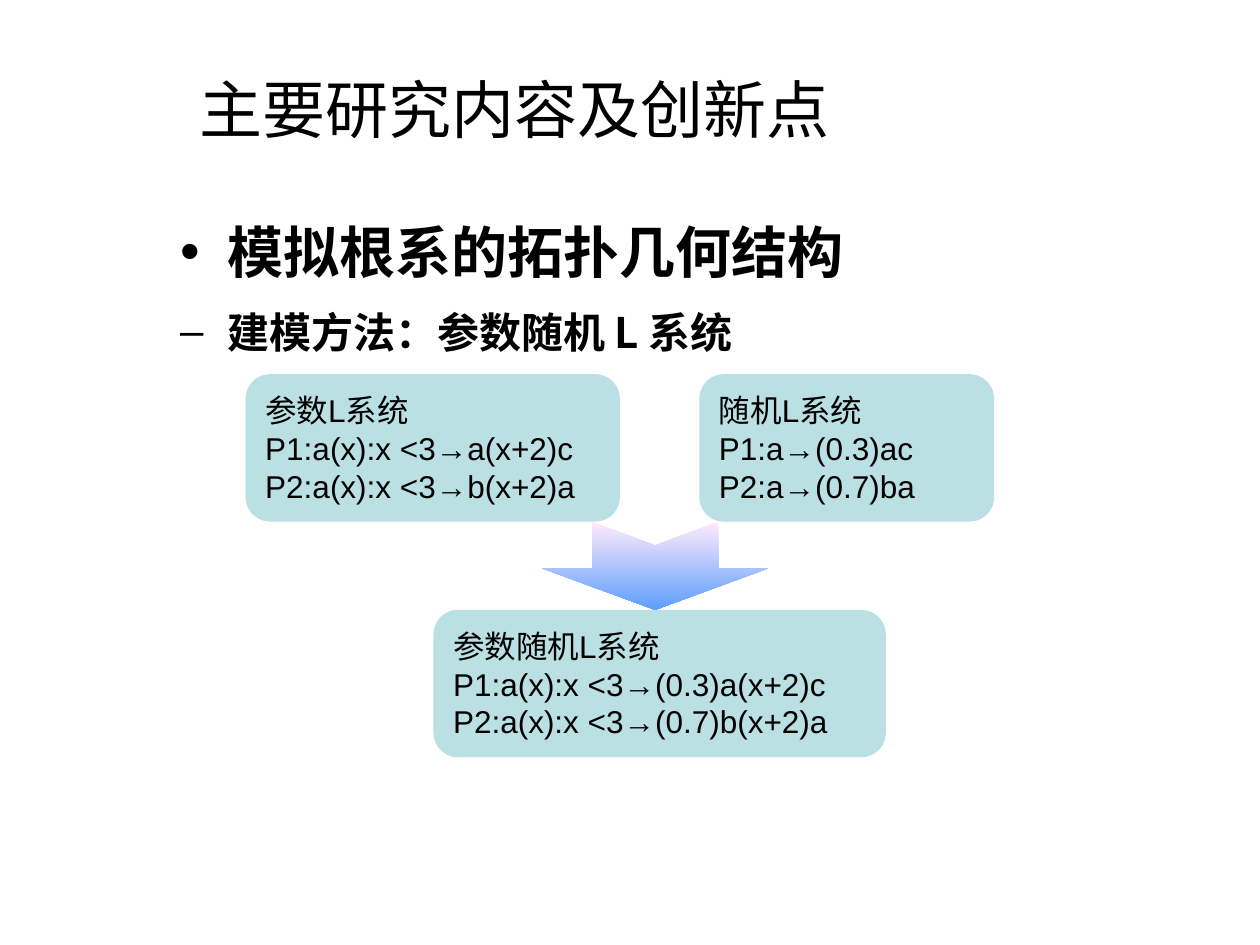
from dataclasses import dataclass
from lxml.etree import SubElement
from pptx import Presentation
from pptx.dml.color import RGBColor
from pptx.enum.shapes import MSO_SHAPE
from pptx.enum.text import MSO_ANCHOR, MSO_AUTO_SIZE, PP_ALIGN
from pptx.oxml.ns import qn
from pptx.util import Inches, Pt


@dataclass(frozen=True)
class Theme:
    ink: str = "000000"
    panel: str = "BBE0E3"
    pale: str = "FFEBFA"
    deep: str = "5E9EFF"
    latin: str = "Arial"
    asian: str = "Noto Sans CJK SC"
    title: int = 36
    head: int = 32
    sub: int = 24
    rule: int = 18


def write(para, text, *, size, color, font, asian, bold=False,
          bullet=None, spacing=None, before=0):
    if bullet:
        SubElement(para._p.get_or_add_pPr(), qn("a:buChar")).set("char", bullet)
    para.alignment = PP_ALIGN.LEFT
    para.space_before = Pt(before)
    if spacing:
        para.line_spacing = spacing
    run = para.add_run()
    run.text = text
    run.font.size = Pt(size)
    run.font.bold = bold
    run.font.name = font
    run.font.color.rgb = RGBColor.from_string(color)
    SubElement(run.font._element, qn("a:ea")).set("typeface", asian)


class Deck:
    def __init__(self, theme):
        self.theme = theme
        self.file = Presentation()
        self.file.slide_width = Inches(10)
        self.file.slide_height = Inches(7.5)
        self.slide = self.file.slides.add_slide(self.file.slide_layouts[1])

    def place(self, shape, left, top, width, height):
        shape.left, shape.top = Inches(left), Inches(top)
        shape.width, shape.height = Inches(width), Inches(height)
        frame = shape.text_frame
        frame.word_wrap = True
        frame.auto_size = MSO_AUTO_SIZE.NONE
        return frame

    def fill(self, frame, items, **style):
        base = dict(color=self.theme.ink, font=self.theme.latin,
                    asian=self.theme.asian)
        for i, (text, extra) in enumerate(items):
            para = frame.add_paragraph() if i else frame.paragraphs[0]
            write(para, text, **{**base, **style, **extra})

    def title(self, text, *area):
        frame = self.place(self.slide.shapes.title, *area)
        frame.vertical_anchor = MSO_ANCHOR.MIDDLE
        self.fill(frame, [(text, {})], size=self.theme.title)

    def body(self, items, *area):
        frame = self.place(self.slide.placeholders[1], *area)
        frame.vertical_anchor = MSO_ANCHOR.TOP
        self.fill(frame, items, font=self.theme.asian, bold=True)

    def panel(self, lines, left, top, width, height=1.17):
        shape = self.slide.shapes.add_shape(
            MSO_SHAPE.ROUNDED_RECTANGLE, Inches(left), Inches(top),
            Inches(width), Inches(height))
        shape.shadow.inherit = False
        shape.fill.solid()
        shape.fill.fore_color.rgb = RGBColor.from_string(self.theme.panel)
        shape.line.fill.background()
        frame = shape.text_frame
        frame.word_wrap = True
        frame.vertical_anchor = MSO_ANCHOR.MIDDLE
        self.fill(frame, [(line, {}) for line in lines], size=self.theme.rule)

    def arrow(self, mid, top, wide, stem, notch, neck, tall):
        half, side = wide / 2, stem / 2
        spots = [(side, 0), (side, neck), (half, neck), (0, tall),
                 (-half, neck), (-side, neck), (-side, 0), (0, notch)]
        points = [(Inches(mid + x), Inches(top + y)) for x, y in spots]
        pen = self.slide.shapes.build_freeform(*points[0])
        pen.add_line_segments(points[1:], close=True)
        shape = pen.convert_to_shape()
        shape.shadow.inherit = False
        shape.line.fill.background()
        shape.fill.gradient()
        shape.fill.gradient_angle = 270
        tones = (self.theme.pale, self.theme.deep)
        for stop, tone in zip(shape.fill.gradient_stops, tones):
            stop.color.rgb = RGBColor.from_string(tone)


def main():
    theme = Theme()
    deck = Deck(theme)
    deck.title("主要研究内容及创新点", 1.48, 0.55, 6.91, 0.62)
    deck.body([
        ("模拟根系的拓扑几何结构",
         dict(size=theme.head, bullet="•", spacing=1.5)),
        ("建模方法：参数随机 L 系统",
         dict(size=theme.sub, bullet="–", spacing=Pt(35), before=6)),
    ], 1.33, 1.41, 8.28, 1.5)
    deck.panel(["随机L系统", "P1:a→(0.3)ac", "P2:a→(0.7)ba"],
               5.55, 2.97, 2.34)
    deck.panel(["参数L系统", "P1:a(x):x <3→a(x+2)c", "P2:a(x):x <3→b(x+2)a"],
               1.95, 2.97, 2.97)
    deck.arrow(5.2, 4.14, wide=1.8, stem=1, notch=0.19, neck=0.37, tall=0.7)
    deck.panel(["参数随机L系统", "P1:a(x):x <3→(0.3)a(x+2)c",
                "P2:a(x):x <3→(0.7)b(x+2)a"], 3.44, 4.84, 3.59)
    deck.file.save("out.pptx")


if __name__ == "__main__":
    main()
